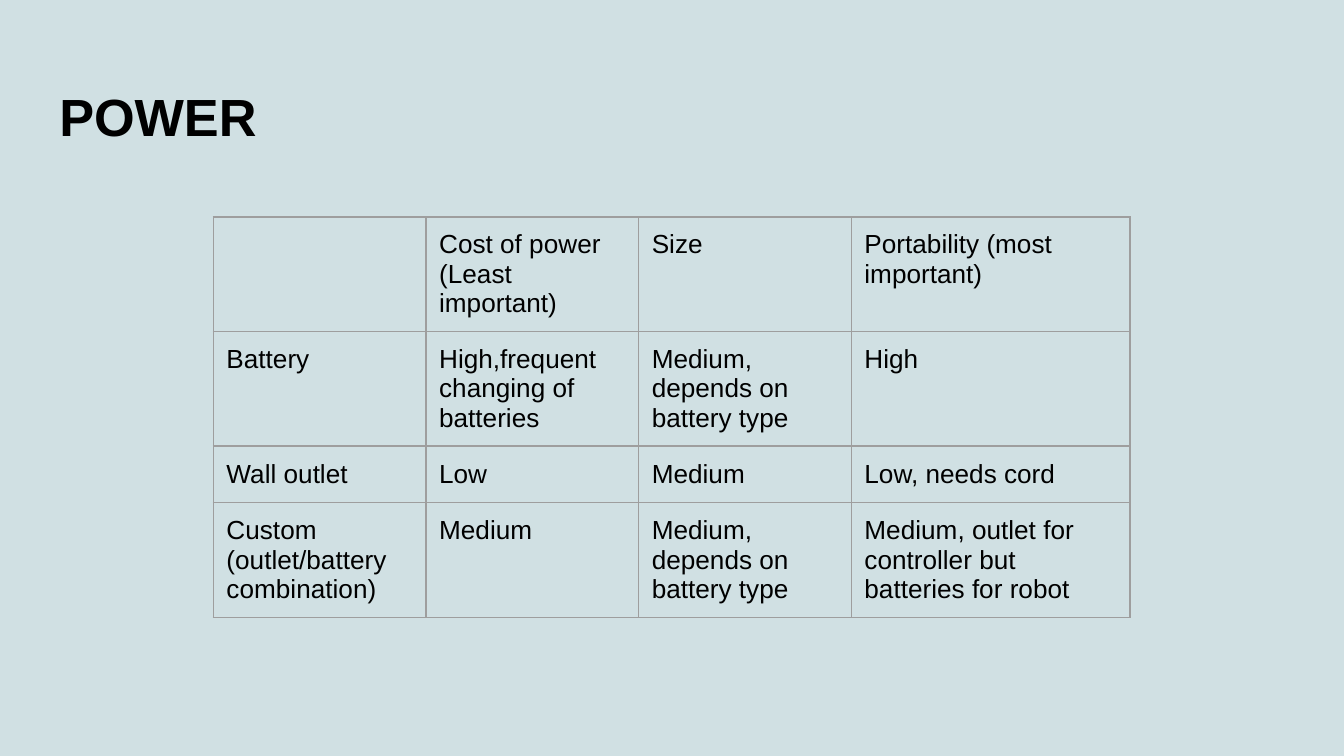
"""Build the slide that compares the power options in a table."""
from dataclasses import dataclass

import lxml.etree
import pptx
import pptx.dml.color
import pptx.enum.text
import pptx.oxml.ns
import pptx.slide
import pptx.table
import pptx.text.text
import pptx.util
from pptx.util import Cm

COLORS = {"background": "D0E0E3", "text": "000000", "border": "9E9E9E"}
FONT = "Arial"
INSET = Cm(0.25)
ROW_HEIGHT = Cm(1.07)
COLUMN_WIDTHS = [Cm(4.02)] * 3 + [Cm(5.27)]


@dataclass
class Option:
    name: str
    cost: str
    size: str
    portability: str


OPTIONS = [
    Option("", "Cost of power (Least important)", "Size", "Portability (most important)"),
    Option("Battery", "High,frequent changing of batteries",
           "Medium, depends on battery type", "High"),
    Option("Wall outlet", "Low", "Medium", "Low, needs cord"),
    Option("Custom (outlet/battery combination)", "Medium",
           "Medium, depends on battery type",
           "Medium, outlet for controller but batteries for robot"),
]


def rgb(name: str) -> pptx.dml.color.RGBColor:
    return pptx.dml.color.RGBColor.from_string(COLORS[name])


def set_font(p: pptx.text.text._Paragraph, size: int, bold: bool = False) -> None:
    p.alignment = pptx.enum.text.PP_ALIGN.LEFT
    p.font.name = FONT
    p.font.size = pptx.util.Pt(size)
    p.font.bold = bold
    p.font.color.rgb = rgb("text")


def set_borders(cell: pptx.table._Cell) -> None:
    qn = pptx.oxml.ns.qn
    tc_pr = cell._tc.get_or_add_tcPr()
    for i, side in enumerate(("lnL", "lnR", "lnT", "lnB")):
        ln = lxml.etree.Element(qn(f"a:{side}"), w=str(pptx.util.Pt(0.75)))
        fill = lxml.etree.SubElement(ln, qn("a:solidFill"))
        lxml.etree.SubElement(fill, qn("a:srgbClr"), val=COLORS["border"])
        tc_pr.insert(i, ln)


def fill_cell(cell: pptx.table._Cell, text: str) -> None:
    cell.text = text
    cell.margin_left = cell.margin_right = INSET
    cell.margin_top = cell.margin_bottom = INSET
    cell.vertical_anchor = pptx.enum.text.MSO_ANCHOR.TOP
    cell.fill.background()
    set_font(cell.text_frame.paragraphs[0], 14)
    set_borders(cell)


def add_title(s: pptx.slide.Slide, text: str) -> None:
    sp = s.shapes.title
    sp.left, sp.top, sp.width, sp.height = Cm(0.87), Cm(1.24), Cm(23.67), Cm(1.6)
    tf = sp.text_frame
    tf.text = text
    tf.word_wrap = True
    tf.auto_size = pptx.enum.text.MSO_AUTO_SIZE.NONE
    tf.vertical_anchor = pptx.enum.text.MSO_ANCHOR.TOP
    tf.margin_left = tf.margin_right = INSET
    tf.margin_top, tf.margin_bottom = Cm(0.36), Cm(0)
    set_font(tf.paragraphs[0], 28, bold=True)


def add_options(s: pptx.slide.Slide, options: list[Option]) -> None:
    table = s.shapes.add_table(
        len(options), len(COLUMN_WIDTHS), Cm(4.03), Cm(4.1),
        sum(COLUMN_WIDTHS), ROW_HEIGHT * len(options)).table
    table.first_row = table.horz_banding = False
    for column, width in zip(table.columns, COLUMN_WIDTHS):
        column.width = width
    for row, option in zip(table.rows, options):
        row.height = ROW_HEIGHT
        texts = (option.name, option.cost, option.size, option.portability)
        for cell, text in zip(row.cells, texts):
            fill_cell(cell, text)


def main() -> None:
    prs = pptx.Presentation()
    prs.slide_width, prs.slide_height = Cm(25.4), Cm(14.29)
    s = prs.slides.add_slide(prs.slide_layouts[5])
    s.background.fill.solid()
    s.background.fill.fore_color.rgb = rgb("background")
    add_title(s, "POWER")
    add_options(s, OPTIONS)
    prs.save("out.pptx")


if __name__ == "__main__":
    main()
